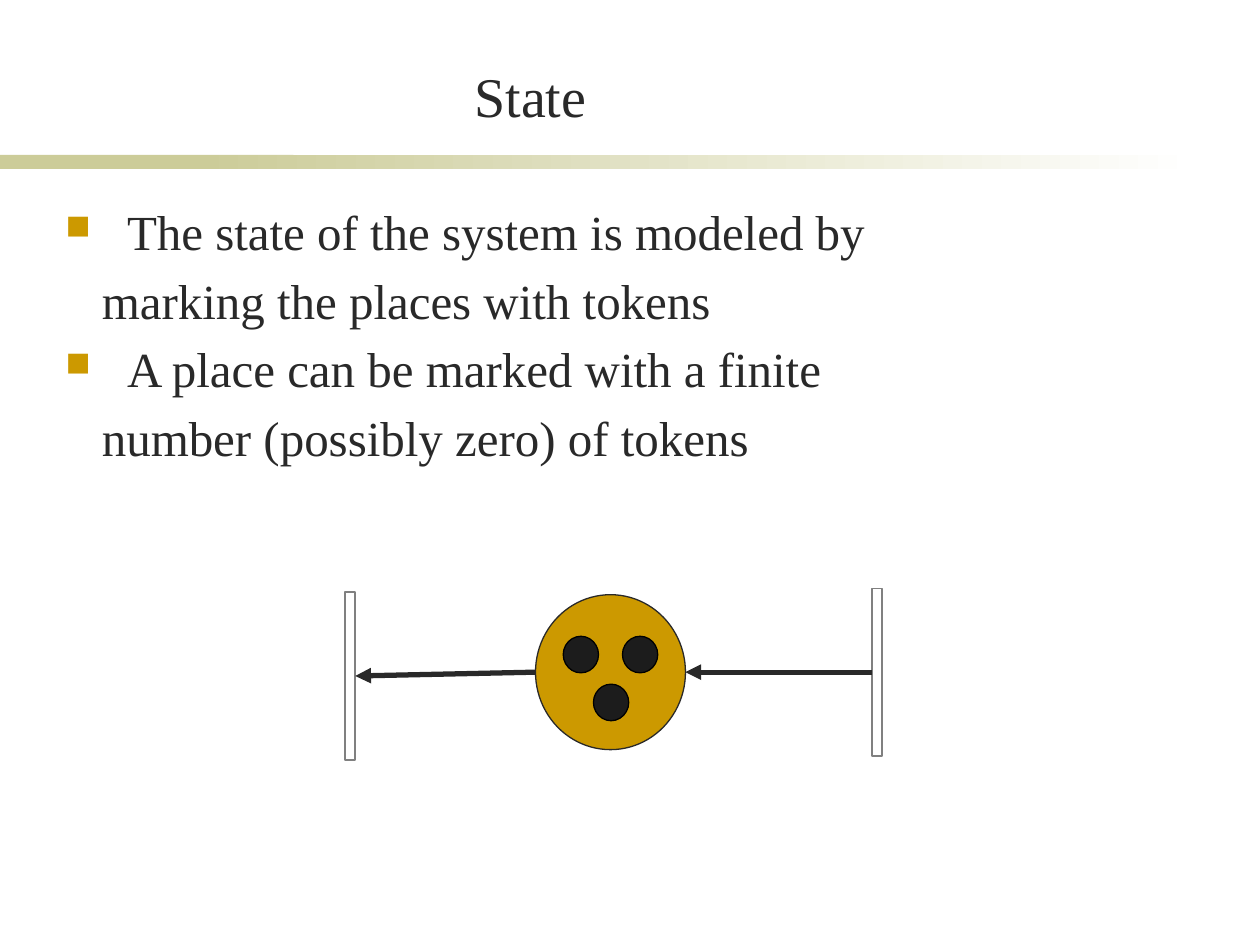
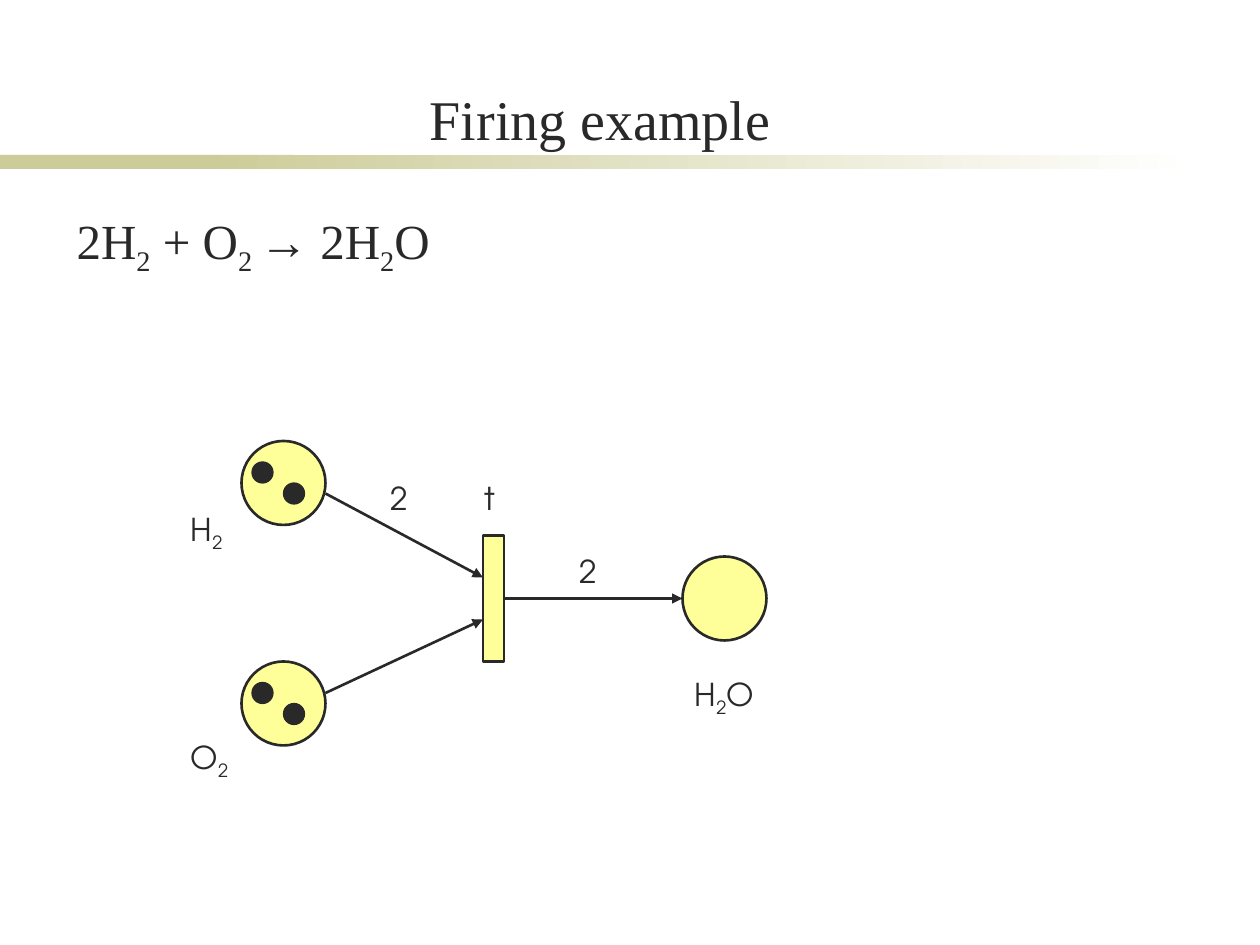
"""Build two Petri net slides: marking of a place, and a firing example."""
from dataclasses import dataclass

from lxml import etree
from pptx import Presentation
from pptx.dml.color import RGBColor
from pptx.enum.shapes import MSO_CONNECTOR, MSO_SHAPE
from pptx.enum.text import MSO_ANCHOR, PP_ALIGN
from pptx.oxml.ns import qn
from pptx.util import Inches, Pt

RECT, OVAL = MSO_SHAPE.RECTANGLE, MSO_SHAPE.OVAL
STRAIGHT = MSO_CONNECTOR.STRAIGHT
TOP, BOTTOM = MSO_ANCHOR.TOP, MSO_ANCHOR.BOTTOM
LEFT, CENTER = PP_ALIGN.LEFT, PP_ALIGN.CENTER
LEFT_SIDE, RIGHT_SIDE = 1, 3


@dataclass(frozen=True)
class Theme:
    ink: str = "292929"
    band: str = "CCCC99"
    white: str = "FFFFFF"
    gold: str = "CC9900"
    yellow: str = "FFFF99"
    token: str = "1C1C1C"
    black: str = "000000"
    grey: str = "808080"
    serif: str = "Times New Roman"
    sans: str = "TeX Gyre Adventor"
    title: int = 32
    body: int = 28
    label: int = 18


T = Theme()
SLIDE_W, SLIDE_H = 10, 7.5
UNIT = 1 / 12
HANG, CONTINUED = 0.49, 0.29

STATE_TITLE = ("State", (1.14, 0.44, 6.14, 0.63))
STATE_BODY = (0.42, 1.55, 9.16, 2.82)
STATE_LINES = [
    (True, "The state of the system is modeled by"),
    (False, "marking the places with tokens"),
    (True, "A place can be marked with a finite"),
    (False, "number (possibly zero) of tokens"),
]
PLACE = (4.25, 4.72, 1.19, 1.23)
TOKEN_SIZE = (0.28, 0.29)
TOKEN_CORNERS = [(4.47, 5.05), (4.94, 5.05), (4.71, 5.43)]
BAR_SIZE = (0.08, 1.33)
BAR_IN, BAR_OUT = (6.92, 4.67), (2.74, 4.7)

FIRING_TITLE = ("Firing example", (0.3, 0.42, 8.93, 0.83))
FIRING_BODY = (0.51, 1.62, 8.9, 4.8)
# Texts alternate between normal and subscript runs; cells count UNIT steps.
EQUATION = ["2H", "2", " + O", "2 ", "→ 2H", "2", "O"]
PLACE_CELLS = [((23, 42), 2), ((23, 63), 2), ((65, 53), 0)]
PLACE_SPAN, TOKEN_SPAN = 8, 2
TOKEN_OFFSETS = [(1, 2), (4, 4)]
TRANSITION = (46, 51, 2, 12)
INPUT_ARCS = [((31, 47), (46, 55)), ((31, 66), (46, 59))]
OUTPUT_ARC = ((48, 57), (65, 57))
LABEL_HEIGHT = 0.43
LABELS = [
    (["H", "2"], (17, 48), 0.52),
    (["O", "2"], (17, 69.7), 0.53),
    (["H", "2", "O"], (65, 63.7), 0.74),
    (["t"], (45, 45), 0.52),
    (["2"], (54, 52), 0.52),
    (["2"], (36, 45), 0.52),
]


def rgb(color):
    return RGBColor.from_string(color)


def cells(*counts):
    return tuple(n * UNIT for n in counts)


def add_shape(s, kind, box, fill, line=None, width=0.75):
    sp = s.shapes.add_shape(kind, *map(Inches, box))
    sp.shadow.inherit = False
    if isinstance(fill, tuple):
        sp.fill.gradient()
        sp.fill.gradient_angle = 0
        for stop, color in zip(sp.fill.gradient_stops, fill):
            stop.color.rgb = rgb(color)
    else:
        sp.fill.solid()
        sp.fill.fore_color.rgb = rgb(fill)
    if line:
        sp.line.color.rgb = rgb(line)
        sp.line.width = Pt(width)
    else:
        sp.line.fill.background()
    return sp


def add_arrow(s, start, end, width, begin=None, finish=None):
    c = s.shapes.add_connector(STRAIGHT, *map(Inches, start + end))
    if begin:
        c.begin_connect(begin, RIGHT_SIDE)
    if finish:
        c.end_connect(finish, RIGHT_SIDE)
    c.line.color.rgb = rgb(T.ink)
    c.line.width = Pt(width)
    etree.SubElement(c.line._get_or_add_ln(), qn("a:tailEnd"), type="triangle")
    etree.SubElement(c._element.spPr, qn("a:effectLst"))
    return c


def add_frame(s, box, anchor=TOP):
    tf = s.shapes.add_textbox(*map(Inches, box)).text_frame
    tf.word_wrap = True
    tf.vertical_anchor = anchor
    return tf


def add_runs(p, texts, size, font=T.serif, align=LEFT):
    p.alignment = align
    for i, text in enumerate(texts):
        r = p.add_run()
        r.text = text
        r.font.name = font
        r.font.size = Pt(size)
        r.font.color.rgb = rgb(T.ink)
        if i % 2:
            r._r.get_or_add_rPr().set("baseline", "-25000")


def format_body(p, margin, indent=0, bullet=False):
    pPr = p._p.get_or_add_pPr()
    pPr.set("marL", str(Inches(margin)))
    pPr.set("indent", str(Inches(indent)))
    before = etree.SubElement(pPr, qn("a:spcBef"))
    etree.SubElement(before, qn("a:spcPct"), val="20000")
    if bullet:
        color = etree.SubElement(pPr, qn("a:buClr"))
        etree.SubElement(color, qn("a:srgbClr"), val=T.gold)
        etree.SubElement(pPr, qn("a:buSzPct"), val="70000")
        etree.SubElement(pPr, qn("a:buChar"), char="■")


def add_slide(prs, title, box):
    s = prs.slides.add_slide(prs.slide_layouts[6])
    add_shape(s, RECT, (0, 1.23, 2.33, 0.11), T.band)
    add_shape(s, RECT, (1.58, 1.23, 7.92, 0.11), (T.band, T.white))
    tf = add_frame(s, box, BOTTOM)
    add_runs(tf.paragraphs[0], [title], T.title, align=CENTER)
    return s


def build_state(prs):
    s = add_slide(prs, *STATE_TITLE)
    tf = add_frame(s, STATE_BODY)
    for i, (bullet, text) in enumerate(STATE_LINES):
        p = tf.add_paragraph() if i else tf.paragraphs[0]
        if bullet:
            format_body(p, HANG, -HANG, bullet=True)
        else:
            format_body(p, CONTINUED)
        add_runs(p, [text], T.body)

    add_shape(s, OVAL, PLACE, T.gold, T.ink)
    for corner in TOKEN_CORNERS:
        add_shape(s, OVAL, corner + TOKEN_SIZE, T.token, T.black)
    bar_in, bar_out = (add_shape(s, RECT, corner + BAR_SIZE, T.white, T.grey, 1)
                       for corner in (BAR_IN, BAR_OUT))
    x, y, w, h = PLACE
    middle = y + h / 2
    arc = add_arrow(s, BAR_IN, (x + w, middle), 3)
    arc.begin_connect(bar_in, LEFT_SIDE)
    add_arrow(s, (x, middle), BAR_OUT, 3, finish=bar_out)


def build_firing(prs):
    s = add_slide(prs, *FIRING_TITLE)
    p = add_frame(s, FIRING_BODY).paragraphs[0]
    format_body(p, HANG, -HANG)
    add_runs(p, EQUATION, T.body)

    for (x, y), count in PLACE_CELLS:
        add_shape(s, OVAL, cells(x, y, PLACE_SPAN, PLACE_SPAN), T.yellow, T.ink, 1.5)
        for dx, dy in TOKEN_OFFSETS[:count]:
            box = cells(x + dx, y + dy, TOKEN_SPAN, TOKEN_SPAN)
            add_shape(s, OVAL, box, T.ink, T.ink)
    bar = add_shape(s, RECT, cells(*TRANSITION), T.yellow, T.ink, 1.5)
    for start, end in INPUT_ARCS:
        add_arrow(s, cells(*start), cells(*end), 1.5)
    start, end = OUTPUT_ARC
    add_arrow(s, cells(*start), cells(*end), 1.5, begin=bar)
    for texts, corner, width in LABELS:
        tf = add_frame(s, cells(*corner) + (width, LABEL_HEIGHT))
        add_runs(tf.paragraphs[0], texts, T.label, T.sans)


def main():
    prs = Presentation()
    prs.slide_width, prs.slide_height = Inches(SLIDE_W), Inches(SLIDE_H)
    build_state(prs)
    build_firing(prs)
    prs.save("out.pptx")


if __name__ == "__main__":
    main()
